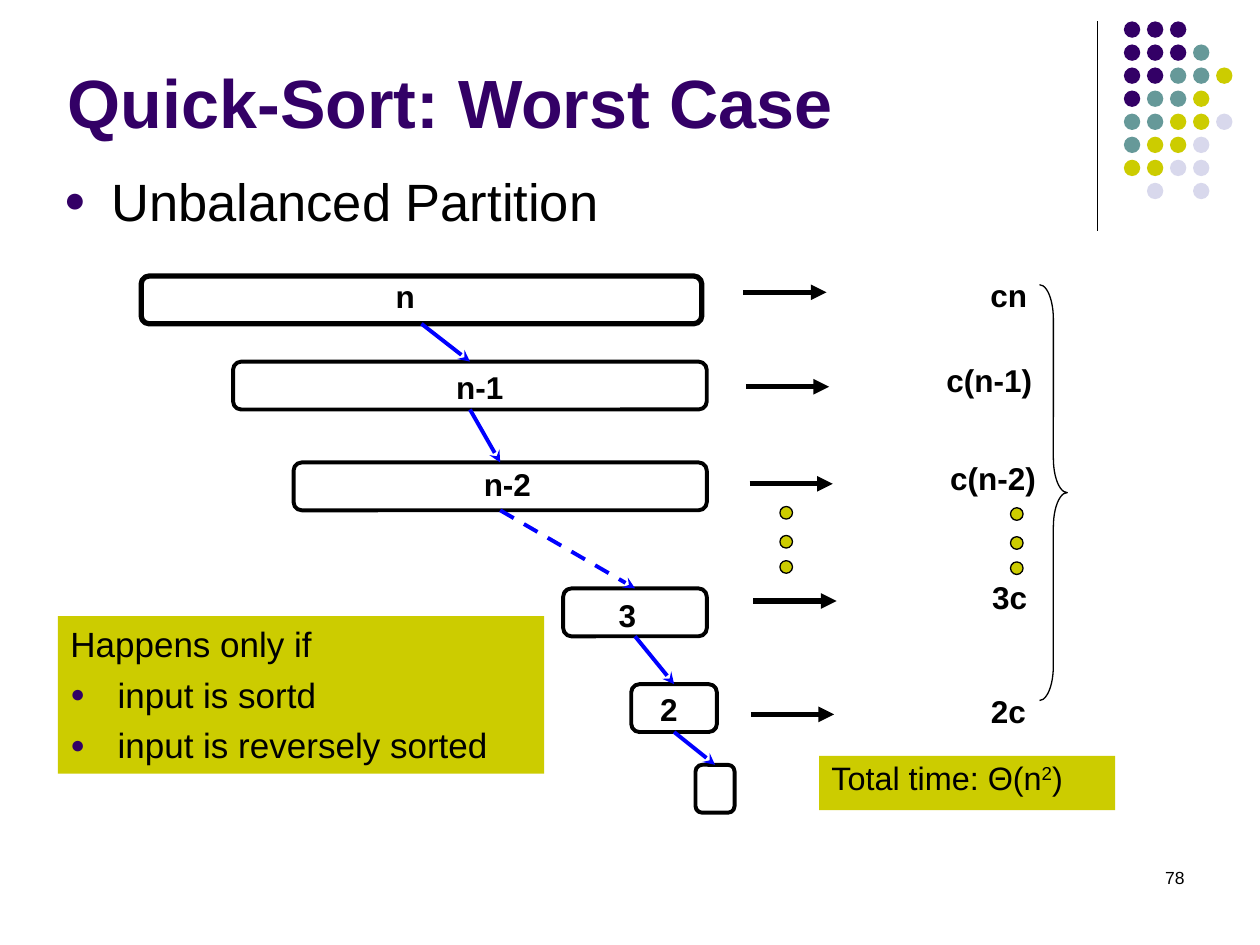
from dataclasses import dataclass

from lxml import etree
from pptx import Presentation
from pptx.dml.color import RGBColor
from pptx.enum.dml import MSO_LINE
from pptx.enum.shapes import MSO_CONNECTOR, MSO_SHAPE
from pptx.enum.text import MSO_ANCHOR, PP_ALIGN
from pptx.oxml.ns import qn
from pptx.util import Emu, Inches, Pt

RECT, ROUND, OVAL = MSO_SHAPE.RECTANGLE, MSO_SHAPE.ROUNDED_RECTANGLE, MSO_SHAPE.OVAL
BRACE, STRAIGHT = MSO_SHAPE.RIGHT_BRACE, MSO_CONNECTOR.STRAIGHT
DASH, BOTTOM = MSO_LINE.DASH, MSO_ANCHOR.BOTTOM
LEFT, RIGHT = PP_ALIGN.LEFT, PP_ALIGN.RIGHT
BLACK, BLUE, PURPLE = "000000", "0000FF", "330066"
TEAL, LIME, LILAC = "669999", "CCCC00", "D8D8EC"

COLUMNS = 100  # square grid cells: 100 columns by 75 rows
prs = Presentation()
prs.slide_width, prs.slide_height = Inches(10), Inches(7.5)
s = prs.slides.add_slide(prs.slide_layouts[6])


@dataclass
class Level:
    """One call of the recursion: its box, its label and the cost beside it."""
    left: float
    top: float
    width: float
    label: str = ""
    label_left: float = 0
    label_top: float = 0
    weight: float = 2.25
    dashed: bool = False  # link to the next level


@dataclass
class Cost:
    text: str
    right: float
    top: float
    arrow_left: float
    arrow_row: float


@dataclass
class Line:
    """A paragraph made of (text, baseline) runs."""
    runs: list
    bullet: bool = False
    before: float = 0
    spacing: float = 1


def grid(cells: float) -> Emu:
    return Emu(round(prs.slide_width * cells / COLUMNS))


def rgb(color: str) -> RGBColor:
    return RGBColor.from_string(color)


def add_shape(kind, left, top, width, height, fill=None, line=None, weight=0.75):
    sp = s.shapes.add_shape(kind, *map(grid, (left, top, width, height)))
    sp.shadow.inherit = False
    if fill:
        sp.fill.solid()
        sp.fill.fore_color.rgb = rgb(fill)
    else:
        sp.fill.background()
    if line:
        sp.line.color.rgb = rgb(line)
        sp.line.width = Pt(weight)
    else:
        sp.line.fill.background()
    return sp


def add_line(x1, y1, x2, y2, color=BLACK, weight=3.0, head="", dashed=False):
    line = s.shapes.add_connector(STRAIGHT, *map(grid, (x1, y1, x2, y2)))
    line.line.color.rgb = rgb(color)
    line.line.width = Pt(weight)
    if dashed:
        line.line.dash_style = DASH
    if head:
        etree.SubElement(line.line._get_or_add_ln(), qn("a:tailEnd"), type=head)
    etree.SubElement(line._element.spPr, qn("a:effectLst"))
    return line


def add_bullet(p) -> None:
    pPr = p._p.get_or_add_pPr()
    pPr.set("marL", str(grid(3.75)))
    pPr.set("indent", str(-grid(3.75)))
    color = etree.SubElement(pPr, qn("a:buClr"))
    etree.SubElement(color, qn("a:srgbClr"), val=PURPLE)
    etree.SubElement(pPr, qn("a:buSzPct"), val="70000")
    etree.SubElement(pPr, qn("a:buFont"), typeface="Arial")
    etree.SubElement(pPr, qn("a:buChar"), char="●")


def write(sp, lines, size, color=BLACK, bold=False, align=LEFT, inset=True, anchor=None):
    tf = sp.text_frame
    margin_x, margin_y = (grid(1), grid(0.5)) if inset else (0, 0)
    frame = {"word_wrap": True, "margin_left": margin_x, "margin_right": margin_x,
             "margin_top": margin_y, "margin_bottom": margin_y,
             "vertical_anchor": anchor or MSO_ANCHOR.TOP}
    for name, value in frame.items():
        setattr(tf, name, value)
    for i, line in enumerate(lines):
        p = tf.add_paragraph() if i else tf.paragraphs[0]
        if line.bullet:
            add_bullet(p)
        p.alignment, p.line_spacing = align, line.spacing
        if line.before:
            p.space_before = Pt(line.before)
        for text, baseline in line.runs:
            r = p.add_run()
            r.text = text
            for name, value in {"name": "Arial", "size": Pt(size), "bold": bold}.items():
                setattr(r.font, name, value)
            r.font.color.rgb = rgb(color)
            if baseline:
                r._r.get_or_add_rPr().set("baseline", str(baseline * 1000))


def add_text(text, left, top, width, height, size, bullet=False, **style):
    sp = s.shapes.add_textbox(*map(grid, (left, top, width, height)))
    write(sp, [Line([(text, 0)], bullet)], size, **style)


# Corner ornament: one letter per dot
add_line(87.1, 1.7, 87.1, 18.3, weight=0.75)
DOT_COLORS = {"P": PURPLE, "T": TEAL, "L": LIME, "G": LILAC}
DOT_ROWS = ["PPP", "PPPT", "PPTTL", "PTTL", "TTLLG", "TLLG", "LLGG", " G G"]
for row, letters in enumerate(DOT_ROWS):
    for col, letter in enumerate(letters):
        if letter in DOT_COLORS:
            add_shape(OVAL, 89.2 + 1.83 * col, 1.7 + 1.83 * row, 1.3, 1.3,
                      DOT_COLORS[letter])

# Heading
add_text("Quick-Sort: Worst Case", 4.4, 3.5, 82.5, 8.3, 39,
         color=PURPLE, bold=True, anchor=BOTTOM)
add_text("Unbalanced Partition", 4.1, 12.9, 90, 7, 30, bullet=True)

# Recursion tree
LEVELS = [
    Level(11.2, 21.9, 44.5, "n", 31.4, 22, weight=3),
    Level(18.5, 28.7, 37.6, "n-1", 36.2, 29.2),
    Level(23.3, 36.7, 32.8, "n-2", 38.4, 36.9, dashed=True),
    Level(44.7, 46.7, 11.4, "3", 49.1, 47.3),
    Level(50.1, 54.3, 6.8, "2", 52.4, 54.8),
    Level(55.2, 60.7, 3.1),
]
boxes = []
for level in LEVELS:
    box = add_shape(ROUND, level.left, level.top, level.width, 3.8,
                    line=BLACK, weight=level.weight)
    box.adjustments[0] = 0.17
    boxes.append(box)
    if level.label:
        add_text(level.label, level.label_left, level.label_top, 5.6, 3, 18,
                 bold=True, inset=False)
for level, parent, child in zip(LEVELS, boxes, boxes[1:]):
    link = add_line(0, 0, 1, 1, BLUE, 2.25, "stealth", level.dashed)
    link.begin_connect(parent, 2)
    link.end_connect(child, 0)

# Cost of each level
COSTS = [
    Cost("cn", 82.5, 21.4, 59, 23.2),
    Cost("c(n-1)", 82.9, 28.2, 59.2, 30.7),
    Cost("c(n-2)", 83.2, 35.9, 59.5, 38.4),
    Cost("3c", 82.5, 45.4, 59.8, 47.7),
    Cost("2c", 82.4, 54.4, 59.6, 56.7),
]
for cost in COSTS:
    add_line(cost.arrow_left, cost.arrow_row, cost.arrow_left + 6.6, cost.arrow_row,
             head="triangle")
    add_text(cost.text, cost.right - 10, cost.top, 10, 4, 18, bold=True, align=RIGHT)

# Dots for the levels left out
for left, top in ((61.9, 40.2), (80.2, 40.3)):
    for step in (0, 2.3, 4.3):
        add_shape(OVAL, left, top + step, 1, 1, LIME, BLACK)

# Sum of the costs
brace = add_shape(BRACE, 82.5, 22.6, 2.2, 33, line=BLACK)
brace.adjustments[0], brace.adjustments[1] = 1.25, 0.5
total = add_shape(RECT, 65, 60, 23.5, 4.3, LIME)
write(total, [Line([("Total time: Θ(n", 0), ("2", 30), (")", 0)], spacing=0.9)], 18.5)

# When the worst case occurs
note = add_shape(RECT, 4.6, 48.9, 38.6, 12.5, LIME)
write(note, [Line([("Happens only if", 0)]),
             Line([("input is sortd", 0)], True, 5),
             Line([("input is reversely sorted", 0)], True, 5)], 20)

# Page number
add_text("78", 71.7, 68.3, 23.3, 5, 10, align=RIGHT)

prs.save("out.pptx")
